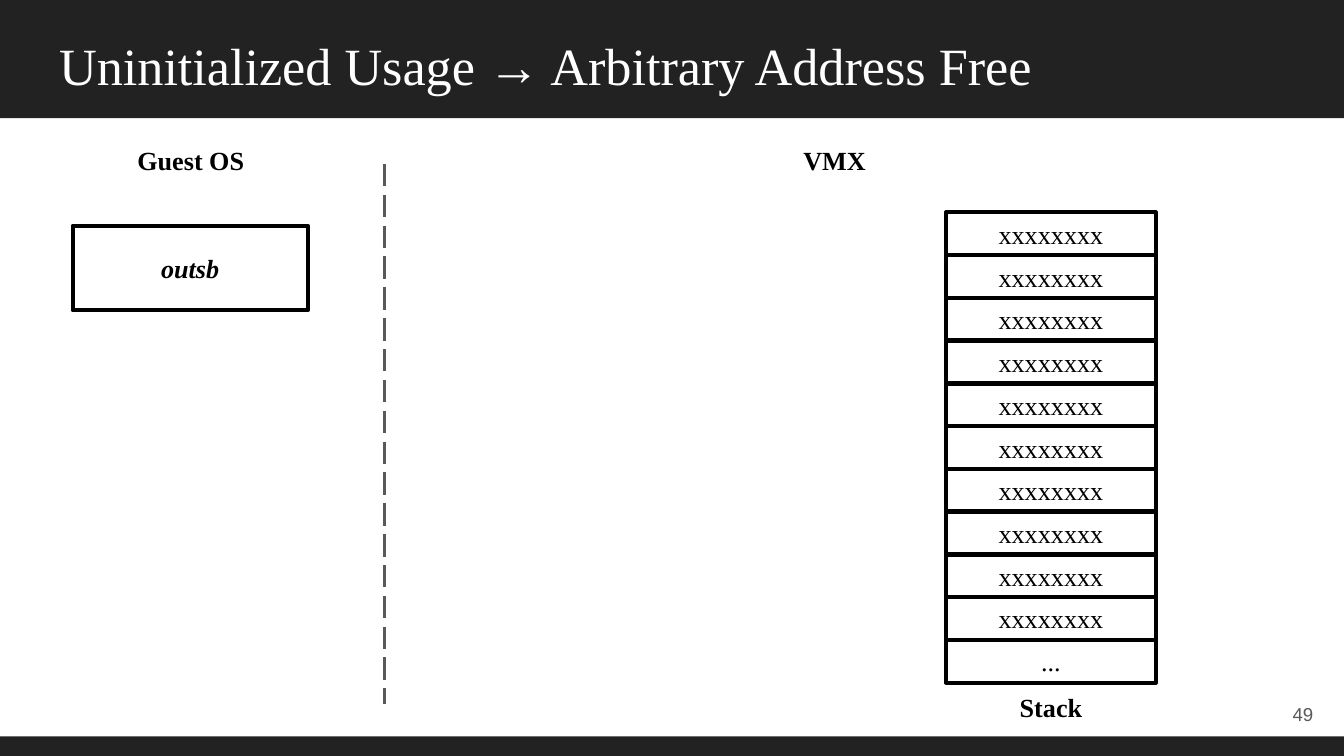
"""Build the slide on uninitialized usage leading to an arbitrary address free."""
from dataclasses import dataclass

from lxml.etree import SubElement
from pptx import Presentation
from pptx.dml.color import RGBColor
from pptx.enum.dml import MSO_LINE
from pptx.enum.shapes import MSO_CONNECTOR, MSO_SHAPE
from pptx.enum.text import MSO_ANCHOR as Anchor, MSO_AUTO_SIZE as AutoSize, PP_ALIGN as Align
from pptx.oxml.ns import qn
from pptx.util import Inches, Pt

WHITE = RGBColor(0xFF, 0xFF, 0xFF)
BLACK = RGBColor(0x00, 0x00, 0x00)
CHARCOAL = RGBColor(0x22, 0x22, 0x22)
GRAY = RGBColor(0x59, 0x59, 0x59)

SLIDE_WIDTH = 10
SLIDE_HEIGHT = SLIDE_WIDTH * 9 / 16
FOOTER_TOP = 5.48
SERIF, SANS = "Times New Roman", "Arial"
STACK_LEFT, STACK_TOP, STACK_WIDTH = 7.04, 1.58, 1.56
LAST_ROW_TOP, ROW_HEIGHT = 4.76, 0.32
STACK_ROWS = ["xxxxxxxx"] * 10 + ["..."]
STACK_PITCH = (LAST_ROW_TOP - STACK_TOP) / (len(STACK_ROWS) - 1)


@dataclass(frozen=True)
class Area:
    """A rectangle in inches."""
    left: float
    top: float
    width: float
    height: float

    def lengths(self) -> tuple:
        """Return left, top, width and height as slide lengths."""
        return tuple(Inches(value) for value in (self.left, self.top, self.width, self.height))


@dataclass(frozen=True)
class Label:
    """A line of text with its place and look."""
    text: str
    area: Area
    size: float = 14
    font: str = SERIF
    color: RGBColor = BLACK
    bold: bool = False
    italic: bool = False
    align: Align = Align.CENTER
    anchor: Anchor = Anchor.MIDDLE


def write(shape, label: Label) -> None:
    """Put the label's text into the shape and format it."""
    frame = shape.text_frame
    frame.text = label.text
    frame.word_wrap = True
    frame.auto_size = AutoSize.NONE
    frame.vertical_anchor = label.anchor
    frame.margin_left = frame.margin_right = Inches(0.1)
    frame.margin_top = frame.margin_bottom = Inches(0.1)
    paragraph = frame.paragraphs[0]
    paragraph.alignment = label.align
    font = paragraph.font
    font.name, font.size = label.font, Pt(label.size)
    font.bold, font.italic = label.bold, label.italic
    font.color.rgb = label.color


def add_text(slide, label: Label) -> None:
    """Add a label without an outline."""
    write(slide.shapes.add_textbox(*label.area.lengths()), label)


def add_box(slide, label: Label) -> None:
    """Add a label in an outlined, unfilled rectangle."""
    box = slide.shapes.add_shape(MSO_SHAPE.RECTANGLE, *label.area.lengths())
    box.shadow.inherit = False
    box.fill.background()
    box.line.color.rgb = BLACK
    box.line.width = Pt(2.25)
    write(box, label)


def add_band(slide, area: Area) -> None:
    """Add a dark band behind the title."""
    band = slide.shapes.add_shape(MSO_SHAPE.RECTANGLE, *area.lengths())
    band.shadow.inherit = False
    band.fill.solid()
    band.fill.fore_color.rgb = CHARCOAL
    band.line.fill.background()
    slide.shapes.title.element.addprevious(band.element)


def add_title(slide, label: Label) -> None:
    """Fill and place the title placeholder."""
    title = slide.shapes.title
    title.left, title.top, title.width, title.height = label.area.lengths()
    write(title, label)


def add_divider(slide, x: float, top: float, bottom: float) -> None:
    """Add a vertical dashed line."""
    divider = slide.shapes.add_connector(
        MSO_CONNECTOR.STRAIGHT, Inches(x), Inches(top), Inches(x), Inches(bottom))
    divider.line.color.rgb = GRAY
    divider.line.width = Pt(1.5)
    divider.line.dash_style = MSO_LINE.LONG_DASH
    SubElement(divider.element.spPr, qn("a:effectLst"))


def main() -> None:
    """Build and save the presentation."""
    presentation = Presentation()
    presentation.slide_width = Inches(SLIDE_WIDTH)
    presentation.slide_height = Inches(SLIDE_HEIGHT)
    slide = presentation.slides.add_slide(presentation.slide_layouts[5])

    add_band(slide, Area(0, 0, SLIDE_WIDTH, 0.88))
    add_band(slide, Area(0, FOOTER_TOP, SLIDE_WIDTH, SLIDE_HEIGHT - FOOTER_TOP))
    add_title(slide, Label("Uninitialized Usage → Arbitrary Address Free",
                           Area(0.34, 0.15, 8, 0.63), size=28, color=WHITE,
                           align=Align.LEFT, anchor=Anchor.TOP))
    add_text(slide, Label("49", Area(9.27, 5.1, 0.6, 0.43), size=10, font=SANS,
                          color=GRAY, align=Align.RIGHT))

    add_text(slide, Label("Guest OS", Area(0.7, 0.95, 1.44, 0.48), bold=True))
    add_text(slide, Label("VMX", Area(5.49, 0.95, 1.44, 0.48), bold=True))
    add_box(slide, Label("outsb", Area(0.54, 1.68, 1.75, 0.63), bold=True, italic=True))
    add_divider(slide, 2.86, 1.22, 5.24)

    for row, text in enumerate(STACK_ROWS):
        top = STACK_TOP + row * STACK_PITCH
        add_box(slide, Label(text, Area(STACK_LEFT, top, STACK_WIDTH, ROW_HEIGHT)))
    add_text(slide, Label("Stack", Area(7.29, 5.08, 1.06, 0.36), bold=True))

    presentation.save("out.pptx")


if __name__ == "__main__":
    main()
